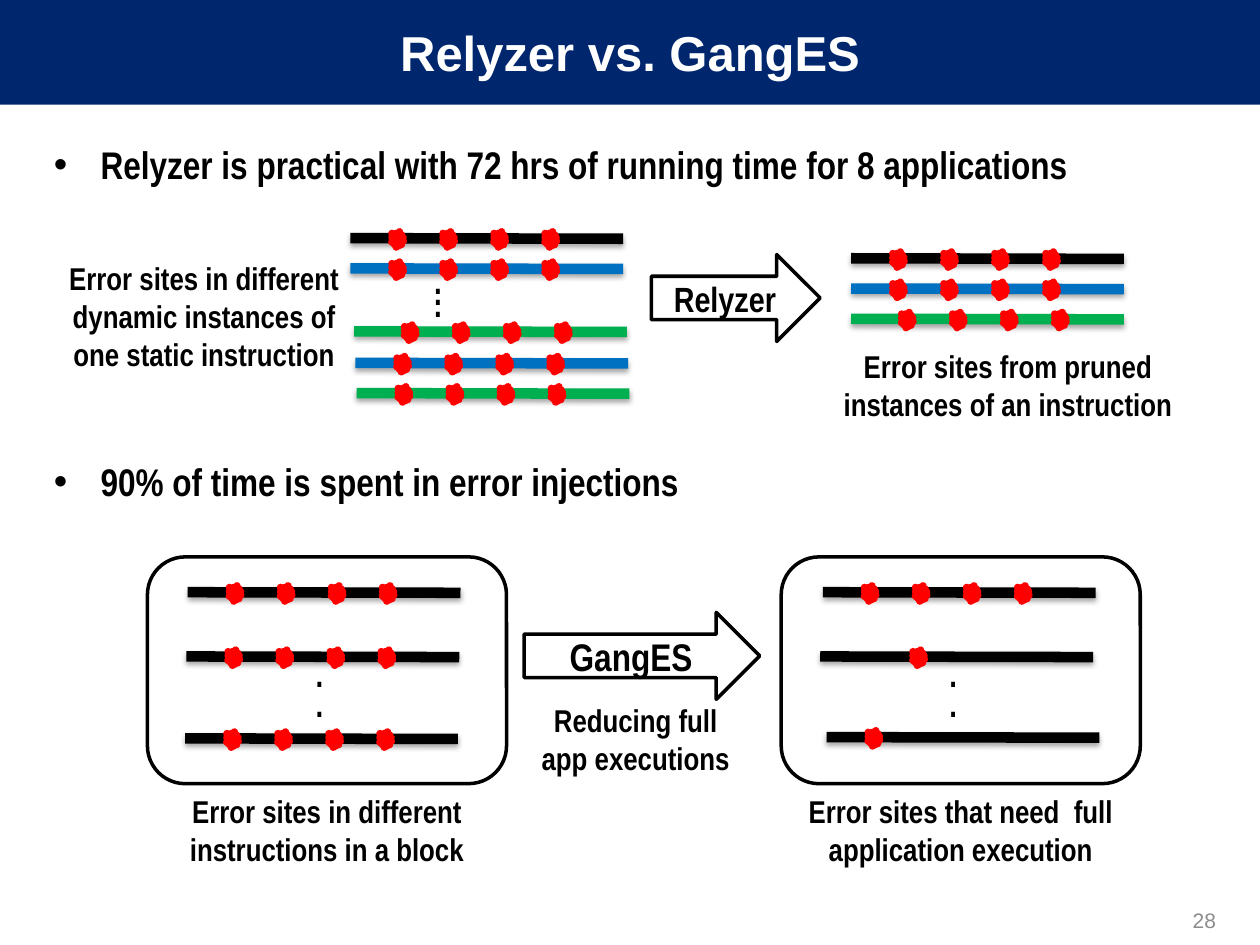
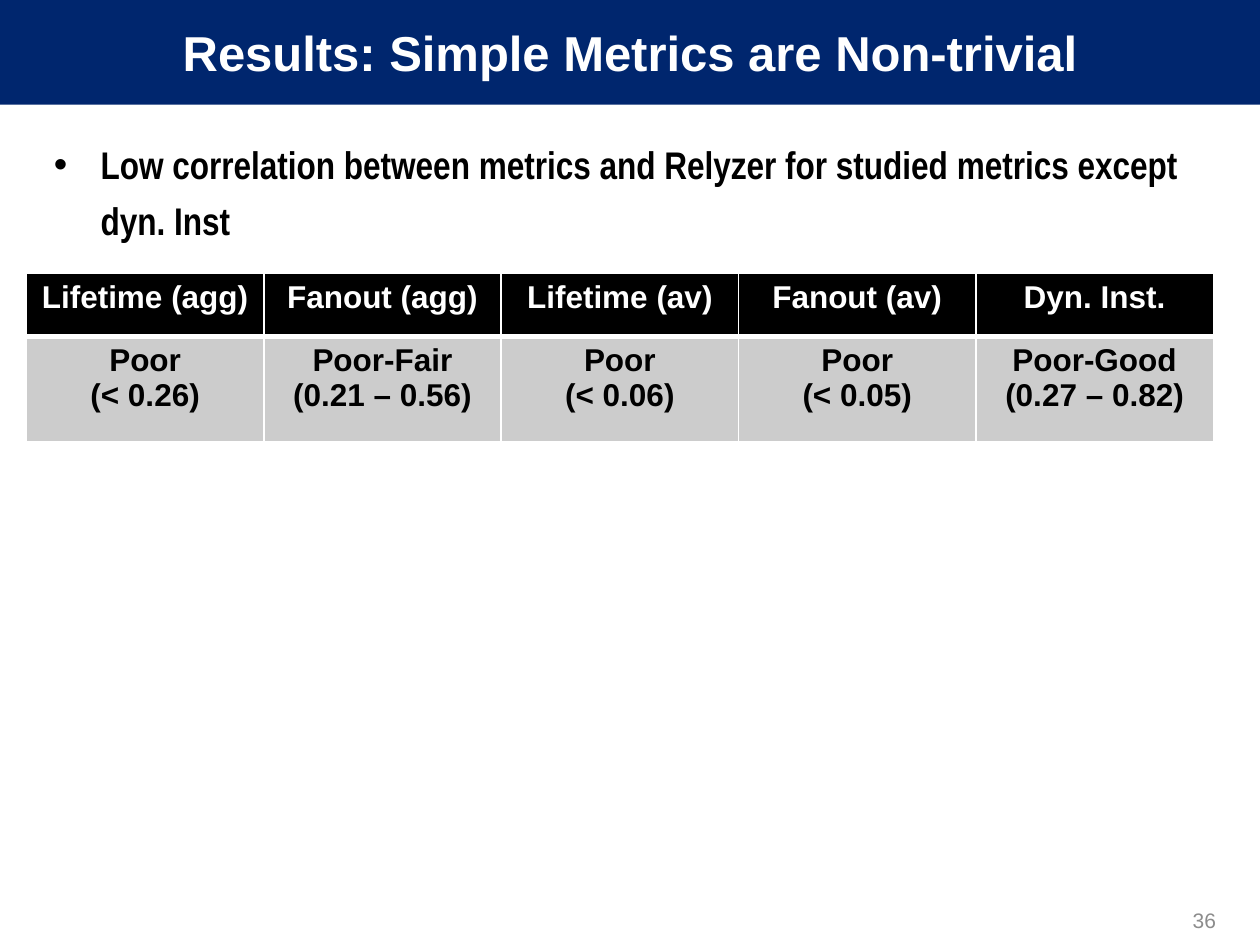
from pptx import Presentation
from pptx.dml.color import RGBColor
from pptx.enum.shapes import MSO_CONNECTOR, MSO_SHAPE
from pptx.enum.text import MSO_ANCHOR, PP_ALIGN
from pptx.oxml import parse_xml
from pptx.oxml.ns import nsdecls
from pptx.util import Inches, Pt

LEFT, CENTER, RIGHT = PP_ALIGN.LEFT, PP_ALIGN.CENTER, PP_ALIGN.RIGHT
TOP, MIDDLE = MSO_ANCHOR.TOP, MSO_ANCHOR.MIDDLE
STRAIGHT = MSO_CONNECTOR.STRAIGHT
ARROW, SEAL = MSO_SHAPE.RIGHT_ARROW, MSO_SHAPE.EXPLOSION1
ROUNDED = MSO_SHAPE.ROUNDED_RECTANGLE

COLORS = {
    "navy": "00266E", "white": "FFFFFF", "black": "000000", "blue": "0070C0",
    "green": "00B050", "red": "FF0000", "gray": "8C8C8C", "cell": "CCCCCC",
}
SANS, NARROW = "Arial", "Arial Narrow"
TITLE_ONLY = 5

# Strands: a line with evenly spaced error sites on it
STRAND_WIDTH, STRAND_SLOPE = 2.165, 0.005
SITE_WIDTH, SITE_HEIGHT, SITE_PITCH = 0.09, 0.12, 0.405
SITE_OFFSET, SITE_RISE = 0.33, 0.05


def rgb(name):
    return RGBColor.from_string(COLORS[name])


def inches(box):
    return [Inches(length) for length in box]


def write_text(frame, text, *, size=18, font=NARROW, color="black", bold=True,
               align=CENTER, anchor=MIDDLE, wrap=True, spacing=None):
    """Fill a text frame with one paragraph for each line of text."""
    frame.word_wrap = wrap
    frame.vertical_anchor = anchor
    for index, line in enumerate(text.split("\n")):
        para = frame.paragraphs[0] if index == 0 else frame.add_paragraph()
        para.alignment = align
        if spacing:
            para.line_spacing = spacing
        span = para.add_run()
        span.text = line
        span.font.size, span.font.name, span.font.bold = Pt(size), font, bold
        span.font.color.rgb = rgb(color)


def add_text(slide, box, text, **style):
    frame = slide.shapes.add_textbox(*inches(box)).text_frame
    write_text(frame, text, **style)
    return frame


def add_shape(slide, kind, box, fill="white", line="black", line_width=2):
    shape = slide.shapes.add_shape(kind, *inches(box))
    shape.shadow.inherit = False
    shape.fill.solid()
    shape.fill.fore_color.rgb = rgb(fill)
    shape.line.color.rgb = rgb(line)
    shape.line.width = Pt(line_width)
    return shape


def add_arrow(slide, box, text, size):
    write_text(add_shape(slide, ARROW, box).text_frame, text, size=size)


def add_bullet(slide, top, height, text):
    frame = add_text(slide, (0.33, top, 9.42, height), text, size=22,
                     align=LEFT, anchor=TOP, spacing=1.2)
    para = frame.paragraphs[0]
    para.space_before = Pt(12.2)
    properties = para._p.get_or_add_pPr()
    properties.set("marL", str(Inches(0.37)))
    properties.set("indent", str(-Inches(0.37)))
    properties.append(parse_xml(f'<a:buFont {nsdecls("a")} typeface="{SANS}"/>'))
    properties.append(parse_xml(f'<a:buChar {nsdecls("a")} char="•"/>'))


def add_strand(slide, left, top, color="black", sites=range(4), offset=SITE_OFFSET):
    """Draw a shadowed line with error sites at the given steps."""
    strand = slide.shapes.add_connector(STRAIGHT, *inches(
        (left, top, left + STRAND_WIDTH, top + STRAND_SLOPE)))
    strand.line.color.rgb = rgb(color)
    strand.line.width = Pt(6)
    strand._element.spPr.append(parse_xml(
        f'<a:effectLst {nsdecls("a")}><a:outerShdw blurRad="{Pt(3.1)}" '
        f'dist="{Pt(1.8)}" dir="5400000" rotWithShape="0">'
        f'<a:srgbClr val="{COLORS["black"]}"><a:alpha val="35000"/></a:srgbClr>'
        '</a:outerShdw></a:effectLst>'))
    for step in sites:
        box = (left + offset + step * SITE_PITCH, top - SITE_RISE,
               SITE_WIDTH, SITE_HEIGHT)
        add_shape(slide, SEAL, box, "red", "red", 4.32)


def add_dots(slide, box, count, spacing):
    add_text(slide, box, "\n".join("." * count), size=28, bold=False,
             wrap=False, spacing=spacing)


def add_site_block(slide, left, strands, caption):
    """Draw a rounded frame with strands, dots and a caption below."""
    add_shape(slide, ROUNDED, (left, 4.42, 2.85, 1.8))
    for inset, top, sites in strands:
        add_strand(slide, left + inset, top, sites=sites)
    add_dots(slide, (left + 1.22, 5.22, 0.29, 0.57), 2, 0.5)
    add_text(slide, (left, 6.23, 2.85, 0.71), caption)


def set_borders(cell, bottom_width):
    properties = cell._tc.get_or_add_tcPr()
    widths = {"lnL": 1, "lnR": 1, "lnT": 1, "lnB": bottom_width}
    for side, width in widths.items():
        properties.append(parse_xml(
            f'<a:{side} {nsdecls("a")} w="{Pt(width)}"><a:solidFill>'
            f'<a:srgbClr val="{COLORS["white"]}"/></a:solidFill></a:{side}>'))


def add_metrics_table(slide, box, rows, heights):
    table = slide.shapes.add_table(len(rows), len(rows[0]), *inches(box)).table
    for row_index, (texts, height) in enumerate(zip(rows, heights)):
        table.rows[row_index].height = Inches(height)
        header = row_index == 0
        for column_index, text in enumerate(texts):
            cell = table.cell(row_index, column_index)
            set_borders(cell, 3 if header else 1)
            cell.fill.solid()
            cell.fill.fore_color.rgb = rgb("black" if header else "cell")
            write_text(cell.text_frame, text, font=SANS,
                       color="white" if header else "black")
            cell.vertical_anchor = TOP


def add_slide(deck, title, number):
    """Add a slide with the title band and the page number."""
    slide = deck.slides.add_slide(deck.slide_layouts[TITLE_ONLY])
    band = slide.shapes.title
    band.left, band.top, band.width, band.height = inches((0, 0, 10, 0.83))
    band.fill.solid()
    band.fill.fore_color.rgb = rgb("navy")
    write_text(band.text_frame, title, size=28, font=SANS, color="white")
    add_text(slide, (7.42, 7.1, 2.33, 0.4), str(number), size=12, font=SANS,
             color="gray", bold=False, align=RIGHT)
    return slide


def build_comparison(deck):
    slide = add_slide(deck, "Relyzer vs. GangES", 28)

    # Pruning of instances by Relyzer
    add_bullet(slide, 1, 0.65,
               "Relyzer is practical with 72 hrs of running time for 8 applications")
    add_text(slide, (0.44, 2, 2.36, 1.01),
             "Error sites in different dynamic instances of one static instruction")
    for left, top, color, offset in (
            (2.78, 1.89, "black", 0.33), (2.78, 2.13, "blue", 0.33),
            (2.81, 2.63, "green", 0.4), (2.82, 2.88, "blue", 0.33),
            (2.83, 3.12, "green", 0.33)):
        add_strand(slide, left, top, color, offset=offset)
    add_dots(slide, (3.33, 2.21, 0.29, 0.38), 3, 0.2)
    add_arrow(slide, (5.17, 2.02, 1.34, 0.69), "Relyzer", 20)
    for top, color, offset in ((2.05, "black", 0.33), (2.29, "blue", 0.33),
                               (2.53, "green", 0.4)):
        add_strand(slide, 6.755, top, color, offset=offset)
    add_text(slide, (6.58, 2.7, 2.84, 0.71),
             "Error sites from pruned\ninstances of an instruction", wrap=False)

    # Fewer full executions with GangES
    add_bullet(slide, 3.51, 0.65, "90% of time is spent in error injections")
    add_site_block(slide, 1.17,
                   ((0.32, 4.7, range(4)), (0.31, 5.21, range(4)),
                    (0.3, 5.86, range(4))),
                   "Error sites in different instructions in a block")
    add_arrow(slide, (4.16, 4.86, 1.87, 0.69), "GangES", 22)
    add_text(slide, (3.62, 5.51, 2.85, 0.71), "Reducing full\napp executions")
    add_site_block(slide, 6.2,
                   ((0.33, 4.7, range(4)), (0.31, 5.21, [1]), (0.36, 5.85, [0])),
                   "Error sites that need  full application execution")


def build_results(deck):
    slide = add_slide(deck, "Results: Simple Metrics are Non-trivial", 36)
    add_bullet(slide, 1, 1.1, "Low correlation between metrics and Relyzer "
               "for studied metrics except dyn. Inst")
    rows = (
        ("Lifetime (agg)", "Fanout (agg)", "Lifetime (av)", "Fanout (av)",
         "Dyn. Inst."),
        ("Poor\n(< 0.26)", "Poor-Fair\n(0.21 – 0.56)", "Poor\n(< 0.06)",
         "Poor\n(< 0.05)", "Poor-Good\n(0.27 – 0.82)"),
    )
    add_metrics_table(slide, (0.21, 2.17, 9.42, 1.34), rows, (0.5, 0.84))


def main():
    deck = Presentation()
    deck.slide_width, deck.slide_height = Inches(10), Inches(7.5)
    build_comparison(deck)
    build_results(deck)
    deck.save("out.pptx")


if __name__ == "__main__":
    main()
